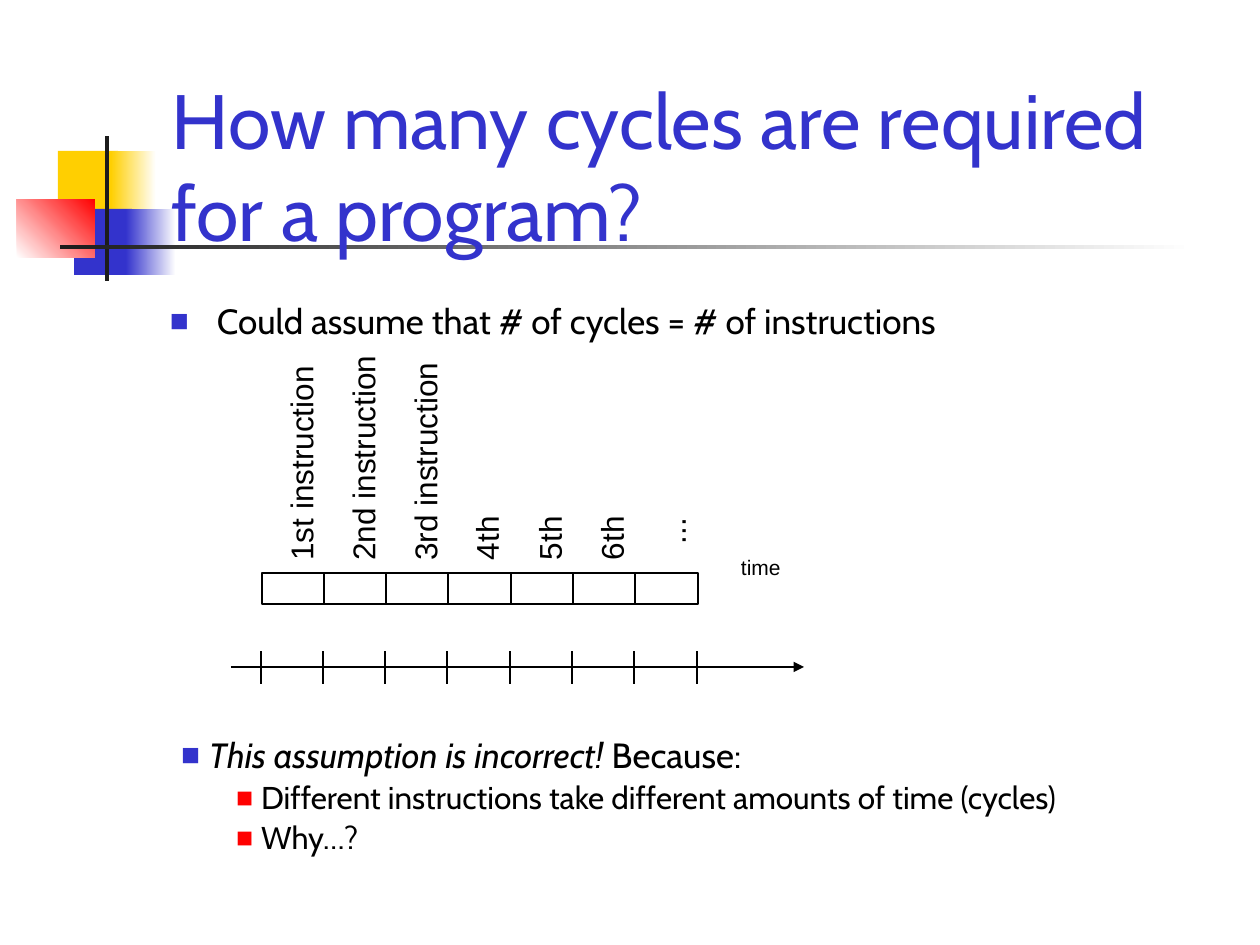
"""Build a slide on estimating the cycles a program needs from its instruction count."""
from dataclasses import dataclass

from lxml import etree
from pptx import Presentation, util as u
from pptx.dml.color import RGBColor
from pptx.enum import shapes, text
from pptx.oxml import ns

EMU_PER_PX = 914400 / 126


@dataclass(frozen=True)
class Theme:
    blue: str = "3333CC"
    yellow: str = "FFCF01"
    red: str = "FF0000"
    charcoal: str = "1C1C1C"
    black: str = "000000"
    white: str = "FFFFFF"
    heading_font: str = "Cabin"
    diagram_font: str = "Arial"
    title_size: int = 44
    body_size: int = 20
    detail_size: int = 18
    time_size: int = 12


THEME = Theme()


@dataclass(frozen=True)
class Area:
    left: int
    top: int
    width: int
    height: int

    def emu(self) -> tuple:
        return tuple(px(n) for n in (self.left, self.top, self.width, self.height))


@dataclass(frozen=True)
class Block:
    area: Area
    start: str
    end: str = ""
    angle: int = 0
    outline: str = ""


@dataclass(frozen=True)
class Bullet:
    color: str
    margin: int
    hang: int


@dataclass(frozen=True)
class StepLabel:
    wording: str
    length: int
    bottom: int


def px(length: int) -> u.Emu:
    return u.Emu(round(length * EMU_PER_PX))


def rgb(color: str) -> RGBColor:
    return RGBColor.from_string(color)


def draw_block(slide, block: Block) -> None:
    shape = slide.shapes.add_shape(shapes.MSO_SHAPE.RECTANGLE, *block.area.emu())
    shape.shadow.inherit = False
    if block.end:
        shape.fill.gradient()
        shape.fill.gradient_angle = block.angle
        for stop, color in zip(shape.fill.gradient_stops, (block.start, block.end)):
            stop.color.rgb = rgb(color)
    else:
        shape.fill.solid()
        shape.fill.fore_color.rgb = rgb(block.start)
    if block.outline:
        shape.line.color.rgb = rgb(block.outline)
        shape.line.width = u.Pt(1)
    else:
        shape.line.fill.background()


def draw_line(slide, x1: int, y1: int, x2: int, y2: int, arrow: bool = False) -> None:
    line = slide.shapes.add_connector(
        shapes.MSO_CONNECTOR.STRAIGHT, px(x1), px(y1), px(x2), px(y2))
    line.line.color.rgb = rgb(THEME.black)
    line.line.width = u.Pt(1)
    if arrow:
        etree.SubElement(line.get_or_add_ln(), ns.qn("a:tailEnd"), type="triangle")
    etree.SubElement(line._element.spPr, ns.qn("a:effectLst"))


def add_frame(slide, area: Area, inset: tuple[int, int] = (13, 6), rotation: int = 0,
              anchor=text.MSO_ANCHOR.TOP):
    box = slide.shapes.add_textbox(*area.emu())
    box.rotation = rotation
    frame = box.text_frame
    frame.word_wrap = True
    frame.vertical_anchor = anchor
    frame.margin_left = frame.margin_right = px(inset[0])
    frame.margin_top = frame.margin_bottom = px(inset[1])
    return frame


def add_bullet(paragraph, bullet: Bullet) -> None:
    properties = paragraph._p.get_or_add_pPr()
    properties.set("marL", str(px(bullet.margin)))
    properties.set("indent", str(px(-bullet.hang)))
    color = etree.SubElement(properties, ns.qn("a:buClr"))
    etree.SubElement(color, ns.qn("a:srgbClr"), val=bullet.color)
    etree.SubElement(properties, ns.qn("a:buSzPct"), val="90000")
    etree.SubElement(properties, ns.qn("a:buFont"), typeface=THEME.diagram_font)
    etree.SubElement(properties, ns.qn("a:buChar"), char="■")


def write(frame, wording: str, *, size: int, font: str = THEME.heading_font,
          color: str = THEME.black, lead: str = "", spacing: float = 1.0,
          before: float = 0, level: int = 0, bullet: Bullet | None = None) -> None:
    paragraph = frame.paragraphs[-1]
    if paragraph.runs:
        paragraph = frame.add_paragraph()
    paragraph.level = level
    paragraph.line_spacing = spacing
    paragraph.space_before = u.Pt(before)
    if bullet:
        add_bullet(paragraph, bullet)
    for part, italic in ((lead, True), (wording, False)):
        if part:
            run = paragraph.add_run()
            run.text = part
            run.font.size = u.Pt(size)
            run.font.name = font
            run.font.italic = italic
            run.font.color.rgb = rgb(color)


def draw_ornament(slide) -> None:
    for block in (
        Block(Area(58, 151, 60, 66), THEME.yellow),
        Block(Area(111, 151, 45, 66), THEME.yellow, THEME.white),
        Block(Area(74, 209, 58, 66), THEME.blue),
        Block(Area(126, 209, 50, 66), THEME.blue, THEME.white),
        Block(Area(17, 199, 78, 59), THEME.white, THEME.red, angle=45),
        Block(Area(105, 136, 4, 145), THEME.charcoal),
        Block(Area(60, 245, 1134, 4), THEME.charcoal, THEME.white),
    ):
        draw_block(slide, block)


def draw_timeline(slide) -> None:
    steps = (
        StepLabel("1st instruction", 227, 563),
        StepLabel("2nd instruction", 227, 563),
        StepLabel("3rd instruction", 227, 563),
        StepLabel("4th", 84, 563),
        StepLabel("5th", 84, 563),
        StepLabel("6th", 84, 563),
        StepLabel("...", 84, 547),
    )
    total, label_height = 436, 54
    offsets = [total * i // len(steps) for i in range(len(steps) + 1)]
    label = dict(font=THEME.diagram_font, spacing=1.17)

    time = add_frame(slide, Area(738, 546, 97, 42), inset=(3, 4))
    write(time, "time", size=THEME.time_size, **label)
    draw_line(slide, 231, 667, 804, 667, arrow=True)
    for offset in offsets:
        draw_line(slide, 261 + offset, 684, 261 + offset, 651)
    for step, offset in zip(steps, offsets):
        area = Area(298 + offset - step.length // 2,
                    step.bottom - (step.length + label_height) // 2,
                    step.length, label_height)
        frame = add_frame(slide, area, inset=(3, 4), rotation=270)
        write(frame, step.wording, size=THEME.detail_size, **label)
    for start, end in zip(offsets, offsets[1:]):
        draw_block(slide, Block(Area(262 + start, 573, end - start, 31),
                                THEME.white, outline=THEME.black))


def main() -> None:
    deck = Presentation()
    deck.slide_width, deck.slide_height = px(1260), px(945)
    slide = deck.slides.add_slide(deck.slide_layouts[6])
    draw_ornament(slide)

    assumption = add_frame(slide, Area(157, 294, 1071, 567))
    write(assumption, "Could assume that # of cycles = # of instructions",
          size=THEME.body_size, bullet=Bullet(THEME.blue, 47, 47))
    draw_timeline(slide)

    title = add_frame(slide, Area(159, 86, 1074, 157), anchor=text.MSO_ANCHOR.MIDDLE)
    write(title, "How many cycles are required for a program?",
          size=THEME.title_size, color=THEME.blue)

    reasons = add_frame(slide, Area(168, 711, 951, 155))
    write(reasons, " Because:", lead="This assumption is incorrect!",
          size=THEME.body_size, spacing=1.4, bullet=Bullet(THEME.blue, 28, 28))
    for reason in ("Different instructions take different amounts of time (cycles)", "Why…?"):
        write(reasons, reason, size=THEME.detail_size, spacing=0.9, before=3.6,
              level=1, bullet=Bullet(THEME.red, 80, 25))
    deck.save("out.pptx")


if __name__ == "__main__":
    main()
